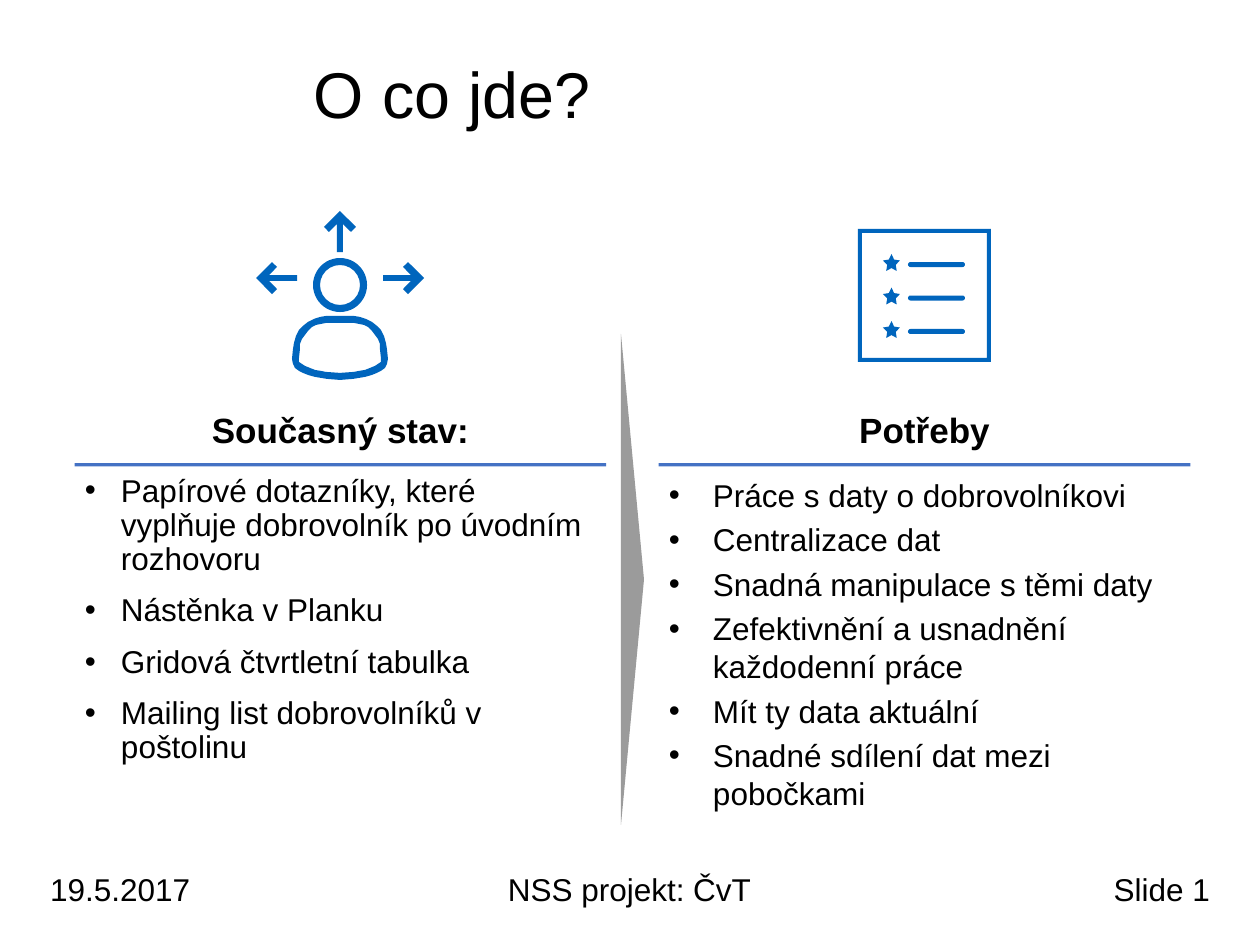
from lxml.etree import SubElement
from pptx import Presentation
from pptx.dml.color import RGBColor
from pptx.enum.shapes import MSO_SHAPE as Shape
from pptx.enum.text import MSO_ANCHOR as Anchor, PP_ALIGN as Align
from pptx.oxml.ns import qn
from pptx.util import Pt

PX = 914400 / 126
FONT = "Arial"
BLACK = RGBColor(0x00, 0x00, 0x00)
WHITE = RGBColor(0xFF, 0xFF, 0xFF)
GRAY = RGBColor(0x9B, 0x9B, 0x9B)
ICON_BLUE = RGBColor(0x00, 0x65, 0xBD)
RULE_BLUE = RGBColor(0x44, 0x72, 0xC4)

COLUMN_LEFTS = (72, 656)
COLUMN_WIDTH = 537
CURRENT_STATE = [
    "Papírové dotazníky, které vyplňuje dobrovolník po úvodním rozhovoru",
    "Nástěnka v Planku",
    "Gridová čtvrtletní tabulka",
    "Mailing list dobrovolníků v poštolinu",
]
NEEDS = [
    "Práce s daty o dobrovolníkovi",
    "Centralizace dat",
    "Snadná manipulace s těmi daty",
    "Zefektivnění a usnadnění každodenní práce",
    "Mít ty data aktuální",
    "Snadné sdílení dat mezi pobočkami",
]

# Right halves of symmetric outlines: distance from the axis, then height.
ARROW_HALF = [(0, 0), (16, 16), (11, 21), (3, 13), (3, 41)]
TORSO_OUTER = [
    (14, 316), (20, 317), (26, 319), (32, 322), (37, 326), (41, 330),
    (44, 336), (46, 343), (47, 349), (48, 359), (47, 364), (45, 368),
    (41, 371), (37, 373), (32, 375), (25, 377), (13, 379), (0, 380),
]
TORSO_INNER = [
    (14, 323), (19, 324), (24, 325), (28, 327), (32, 331), (35, 335),
    (38, 339), (40, 344), (40, 349), (41, 358), (41, 362), (38, 364),
    (35, 366), (30, 368), (25, 370), (19, 371), (14, 372), (0, 373),
]


def px(n):
    return round(n * PX)


def box(*lengths):
    return [px(n) for n in lengths]


def set_text(sp, lines, size, align=Align.LEFT, bold=False, anchor=Anchor.TOP, inset_y=6):
    tf = sp.text_frame
    tf.word_wrap = True
    tf.vertical_anchor = anchor
    tf.margin_left = tf.margin_right = px(13)
    tf.margin_top = tf.margin_bottom = px(inset_y)
    tf.text = "\n".join(lines)
    for p in tf.paragraphs:
        p.alignment = align
        for r in p.runs:
            r.font.name = FONT
            r.font.size = Pt(size)
            r.font.bold = bold
            r.font.color.rgb = BLACK
    return tf


def add_text(shapes, bounds, lines, size, **style):
    return set_text(shapes.add_textbox(*box(*bounds)), lines, size, **style)


def add_bullets(shapes, bounds, lines, indent, line_spacing, space_before):
    tf = add_text(shapes, bounds, lines, 18, inset_y=13)
    for p in tf.paragraphs:
        p.line_spacing = line_spacing
        p.space_before = Pt(space_before)
        pPr = p._p.get_or_add_pPr()
        pPr.set("marL", str(px(indent)))
        pPr.set("indent", str(-px(indent)))
        SubElement(pPr, qn("a:buFont"), typeface=FONT)
        SubElement(pPr, qn("a:buChar"), char="•")


def paint(sp, color):
    sp.fill.solid()
    sp.fill.fore_color.rgb = color
    sp.line.fill.background()
    sp.shadow.inherit = False


def add_preset(shapes, kind, bounds, color, *adjustments):
    sp = shapes.add_shape(kind, *box(*bounds))
    for i, value in enumerate(adjustments):
        sp.adjustments[i] = value
    paint(sp, color)
    return sp


def add_heading(shapes, left, text):
    """White band whose hard shadow shows as a rule below it."""
    sp = add_preset(shapes, Shape.RECTANGLE, (left, 395, COLUMN_WIDTH, 68), WHITE)
    effects = sp._element.spPr.find(qn("a:effectLst"))
    shadow = SubElement(effects, qn("a:outerShdw"), dist=str(Pt(2)), dir="5400000",
                        sx="99000", algn="t", rotWithShape="0")
    SubElement(shadow, qn("a:srgbClr"), val=str(RULE_BLUE))
    set_text(sp, [text], 20, align=Align.CENTER, bold=True, anchor=Anchor.BOTTOM, inset_y=13)


def mirrored(half):
    return half + [(-x, y) for x, y in reversed(half)]


def add_outline(shapes, *contours):
    """Filled freeform; contours after the first cut holes."""
    builder = shapes.build_freeform(*contours[0][0], scale=PX)
    builder.add_line_segments(contours[0][1:])
    for contour in contours[1:]:
        builder.move_to(*contour[0])
        builder.add_line_segments(contour[1:])
    paint(builder.convert_to_shape(), ICON_BLUE)


def add_person_icon(shapes):
    axis = 340
    torso = [[(axis + x, y) for x, y in mirrored(half)] for half in (TORSO_OUTER, TORSO_INNER)]
    add_outline(shapes, *torso)
    add_preset(shapes, Shape.DONUT, (axis - 27, 258, 54, 54), ICON_BLUE, 0.13)
    arrow = mirrored(ARROW_HALF)
    add_outline(shapes, [(axis + x, 211 + y) for x, y in arrow])
    for side in (-1, 1):
        add_outline(shapes, [(axis + side * (84 - y), 278 + x) for x, y in arrow])


def add_checklist_icon(shapes):
    for row in range(3):
        top = 254 + 33.5 * row
        add_preset(shapes, Shape.ROUNDED_RECTANGLE, (908, top + 8, 57, 5), ICON_BLUE, 0.5)
        add_preset(shapes, Shape.STAR_5_POINT, (883, top, 17, 17), ICON_BLUE, 0.25)
    add_preset(shapes, Shape.FRAME, (858, 229, 133, 133), ICON_BLUE, 0.03)


def main():
    prs = Presentation()
    prs.slide_width, prs.slide_height = box(1260, 945)
    shapes = prs.slides.add_slide(prs.slide_layouts[6]).shapes

    footers = [("19.5.2017", 37, Align.LEFT), ("NSS projekt: ČvT", 457, Align.CENTER),
               ("Slide 1", 878, Align.RIGHT)]
    for text, left, align in footers:
        add_text(shapes, (left, 864, 345, 50), [text], 18, align=align)

    title = add_text(shapes, (301, 39, 922, 118), ["O co jde?"], 36.9, anchor=Anchor.MIDDLE)
    title.paragraphs[0].line_spacing = 0.9

    left, right = COLUMN_LEFTS
    add_bullets(shapes, (left, 462, COLUMN_WIDTH, 381), CURRENT_STATE, 36, 0.9, 10)
    add_bullets(shapes, (right, 463, COLUMN_WIDTH, 379), NEEDS, 44, 1.0, 3.8)

    divider = add_preset(shapes, Shape.ISOSCELES_TRIANGLE, (387, 568, 491, 23), GRAY)
    divider.rotation = 90

    add_heading(shapes, left, "Současný stav:")
    add_heading(shapes, right, "Potřeby")
    add_person_icon(shapes)
    add_checklist_icon(shapes)
    prs.save("out.pptx")


if __name__ == "__main__":
    main()
